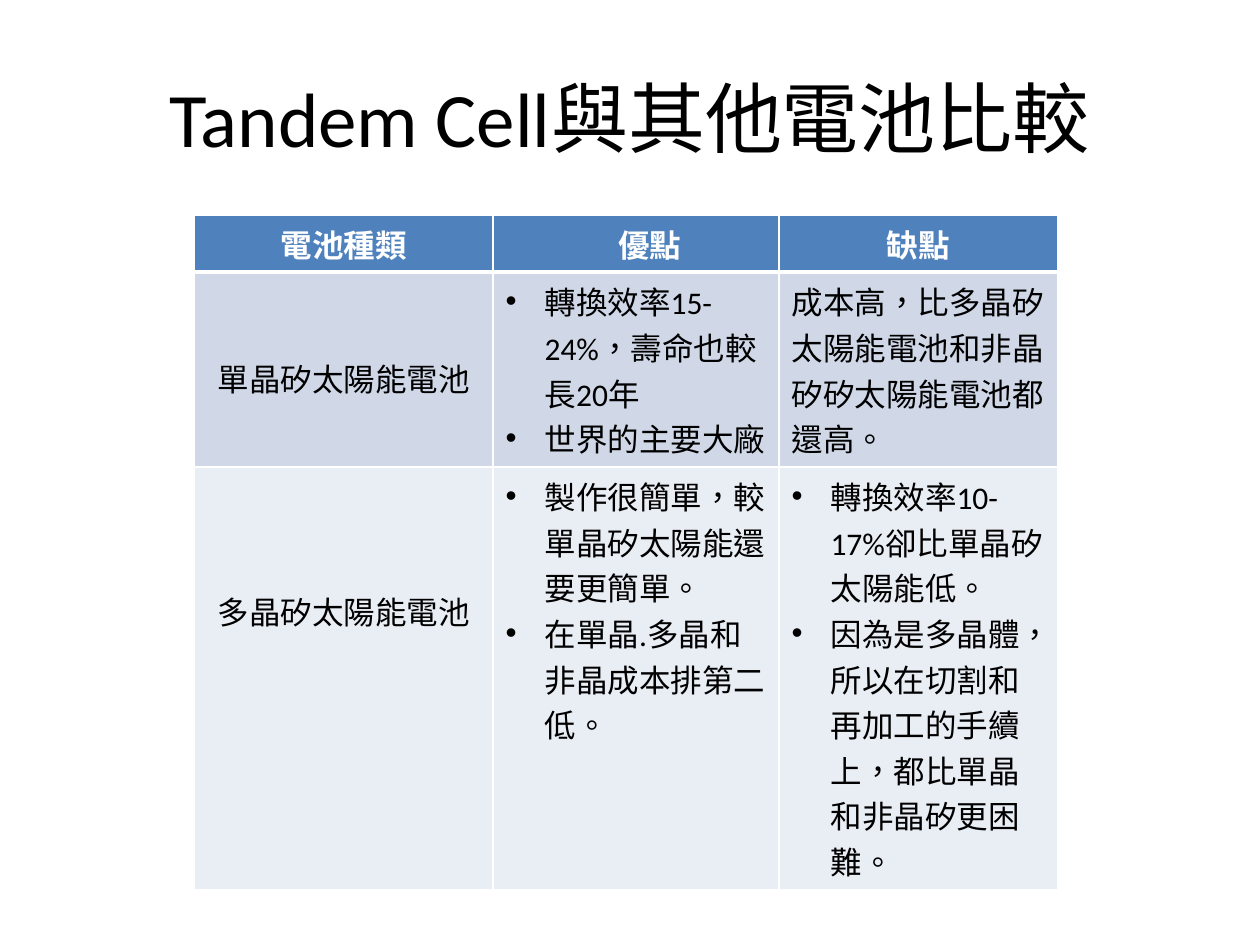
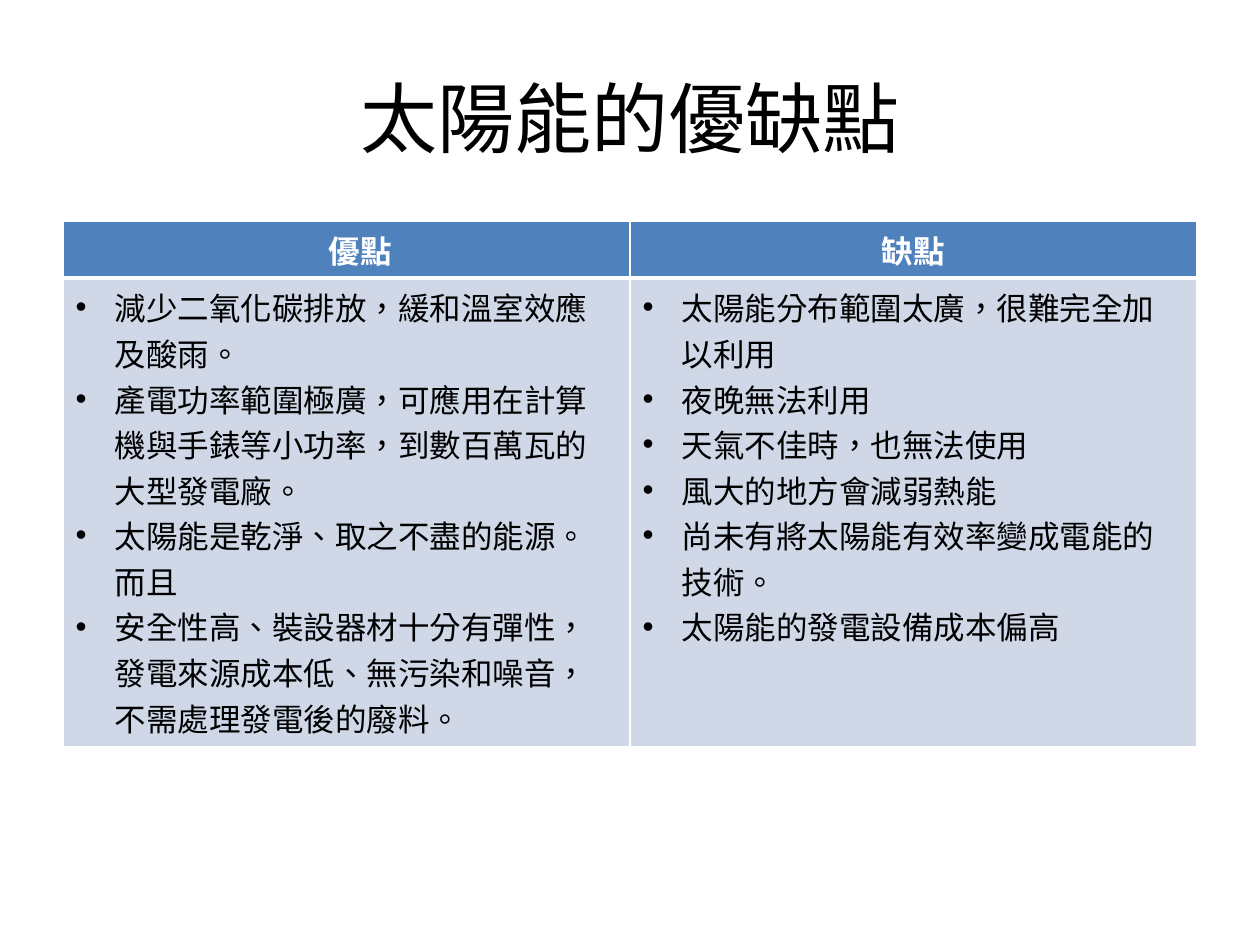
from lxml.etree import SubElement
from pptx import Presentation
from pptx.dml.color import RGBColor as RGB
from pptx.enum.lang import MSO_LANGUAGE_ID as LANG
from pptx.enum.text import MSO_ANCHOR as ANCHOR, PP_ALIGN as ALIGN
from pptx.oxml.ns import qn
from pptx.util import Pt

PX = 914400 // 126
COLORS = {"head": "4F81BD", "odd": "D0D8E8", "even": "E9EDF4",
          "white": "FFFFFF", "black": "000000"}
BASE = {"name": "Calibri", "language_id": LANG.TRADITIONAL_CHINESE}
FORMATS = {
    "title": {**BASE, "size": Pt(44), "bold": False},
    "head": {**BASE, "size": Pt(18), "bold": True},
    "body": {**BASE, "size": Pt(18), "bold": False},
}
TITLE = (63, 38, 1134, 158)
HANG = 39       # bullet indent
SHIFT = 28      # left indent of the header over the advantages
LINE, PAD = 38.5, 6
PROS, CONS = "優點", "缺點"

# A body cell is a list of bullets, a plain text,
# or a pair (row label, lines of space above it).
PAGES = [
    {"title": "Tandem Cell與其他電池比較",
     "at": (194, 215), "cols": (299, 286, 279), "rows": (57, 195, 423),
     "head": ("電池種類", PROS, CONS),
     "body": [
         [("單晶矽太陽能電池", 2),
          ["轉換效率15-24%，壽命也較長20年", "世界的主要大廠"],
          "成本高，比多晶矽太陽能電池和非晶矽矽太陽能電池都還高。"],
         [("多晶矽太陽能電池", 3),
          ["製作很簡單，較單晶矽太陽能還要更簡單。",
           "在單晶.多晶和非晶成本排第二低。"],
          ["轉換效率10-17%卻比單晶矽太陽能低。",
           "因為是多晶體，所以在切割和再加工的手續上，都比單晶和非晶矽更困難。"]],
     ]},
    {"title": "太陽能的優缺點",
     "at": (63, 221), "cols": (567, 567), "rows": (57, 469),
     "head": (PROS, CONS),
     "body": [
         [["減少二氧化碳排放，緩和溫室效應及酸雨。",
           "產電功率範圍極廣，可應用在計算機與手錶等小功率，到數百萬瓦的大型發電廠。",
           "太陽能是乾淨、取之不盡的能源。而且",
           "安全性高、裝設器材十分有彈性，發電來源成本低、無污染和噪音，不需處理發電後的廢料。"],
          ["太陽能分布範圍太廣，很難完全加以利用",
           "夜晚無法利用",
           "天氣不佳時，也無法使用",
           "風大的地方會減弱熱能",
           "尚未有將太陽能有效率變成電能的技術。",
           "太陽能的發電設備成本偏高"]],
     ]},
]


def px(n):
    return round(n * PX)


def write(para, text, kind, color, align=ALIGN.LEFT):
    run = para.add_run()
    run.text = text
    for key, value in FORMATS[kind].items():
        setattr(run.font, key, value)
    run.font.color.rgb = RGB.from_string(COLORS[color])
    para.alignment = align


def indent(para, left, first=0, mark=None):
    props = para._p.get_or_add_pPr()
    props.set("marL", str(px(left)))
    props.set("indent", str(px(first)))
    if mark:
        SubElement(props, qn("a:buFont"), typeface="Arial")
        SubElement(props, qn("a:buChar"), char=mark)


def edge(cell, widths):
    """Draw white borders; widths maps a side letter to points."""
    props = cell._tc.get_or_add_tcPr()
    for side, width in widths.items():
        line = SubElement(props, qn("a:ln" + side), w=str(Pt(width)))
        fill = SubElement(line, qn("a:solidFill"))
        SubElement(fill, qn("a:srgbClr"), val=COLORS["white"])


def paint(cell, color, base):
    edge(cell, {"L": 1, "R": 1, "T": 1, "B": base})
    cell.fill.solid()
    cell.fill.fore_color.rgb = RGB.from_string(COLORS[color])


def fill_body(cell, item):
    frame = cell.text_frame
    first = frame.paragraphs[0]
    if isinstance(item, list):
        for i, text in enumerate(item):
            para = frame.add_paragraph() if i else first
            write(para, text, "body", "black")
            indent(para, HANG, -HANG, "•")
    elif isinstance(item, tuple):
        text, lines = item
        cell.margin_top = px(PAD + lines * LINE)
        write(first, text, "body", "black", ALIGN.CENTER)
    else:
        write(first, item, "body", "black")


def add_title(slide, text):
    frame = slide.shapes.add_textbox(*map(px, TITLE)).text_frame
    frame.word_wrap = True
    frame.vertical_anchor = ANCHOR.MIDDLE
    write(frame.paragraphs[0], text, "title", "black", ALIGN.CENTER)


def add_grid(slide, page):
    cols, rows = page["cols"], page["rows"]
    size = (*page["at"], sum(cols), sum(rows))
    table = slide.shapes.add_table(len(rows), len(cols), *map(px, size)).table
    for col, width in zip(table.columns, cols):
        col.width = px(width)
    for row, height in zip(table.rows, rows):
        row.height = px(height)
    for c, text in enumerate(page["head"]):
        cell = table.cell(0, c)
        paint(cell, "head", 3)
        para = cell.text_frame.paragraphs[0]
        write(para, text, "head", "white", ALIGN.CENTER)
        if text == PROS:
            indent(para, SHIFT)
    for r, items in enumerate(page["body"], 1):
        for c, item in enumerate(items):
            cell = table.cell(r, c)
            paint(cell, "odd" if r % 2 else "even", 1)
            fill_body(cell, item)


def main():
    deck = Presentation()
    deck.slide_width, deck.slide_height = px(1260), px(945)
    for page in PAGES:
        slide = deck.slides.add_slide(deck.slide_layouts[6])
        add_title(slide, page["title"])
        add_grid(slide, page)
    deck.save("out.pptx")


if __name__ == "__main__":
    main()
